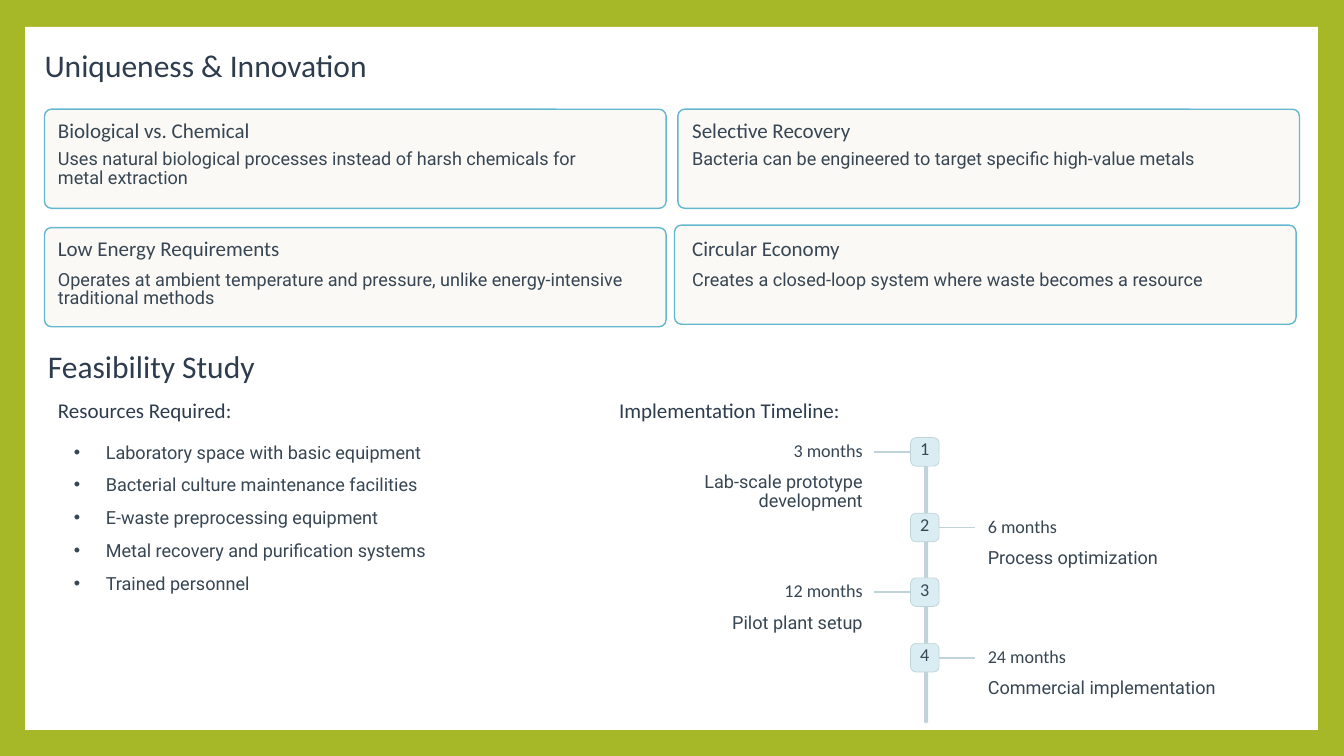
from lxml import etree
from pptx import Presentation
from pptx.dml.color import RGBColor
from pptx.enum.shapes import MSO_CONNECTOR, MSO_SHAPE
from pptx.enum.text import MSO_ANCHOR, MSO_AUTO_SIZE, PP_ALIGN
from pptx.oxml.ns import qn
from pptx.util import Inches, Pt

LEFT, CENTER, RIGHT = PP_ALIGN.LEFT, PP_ALIGN.CENTER, PP_ALIGN.RIGHT
RECTANGLE, ROUNDED = MSO_SHAPE.RECTANGLE, MSO_SHAPE.ROUNDED_RECTANGLE

GREEN = RGBColor(0xA6, 0xB7, 0x27)
WHITE = RGBColor(0xFF, 0xFF, 0xFF)
NAVY = RGBColor(0x2E, 0x3C, 0x4E)
SLATE = RGBColor(0x38, 0x46, 0x53)
CREAM = RGBColor(0xFA, 0xF9, 0xF5)
TEAL = RGBColor(0x64, 0xB8, 0xCE)
PALE_BLUE = RGBColor(0xD9, 0xED, 0xF2)
GREY_BLUE = RGBColor(0xBF, 0xD3, 0xD8)

presentation = Presentation()
presentation.slide_width, presentation.slide_height = Inches(16), Inches(9)
slide = presentation.slides.add_slide(presentation.slide_layouts[5])
slide.background.fill.solid()
slide.background.fill.fore_color.rgb = GREEN


def write(shape, lines, size, font, color, spacing=None, align=LEFT):
    frame = shape.text_frame
    frame.word_wrap = True
    frame.auto_size = MSO_AUTO_SIZE.NONE
    frame.vertical_anchor = MSO_ANCHOR.TOP
    frame.margin_left = frame.margin_right = 0
    frame.margin_top = frame.margin_bottom = 0
    for index, line in enumerate(lines):
        paragraph = frame.add_paragraph() if index else frame.paragraphs[0]
        paragraph.alignment = align
        if spacing:
            paragraph.line_spacing = Pt(spacing)
        run = paragraph.add_run()
        run.text = line
        run.font.size = Pt(size)
        run.font.name = font
        run.font.color.rgb = color
    return frame


def add_block(kind, left, top, width, height, fill, line=None, line_width=0, radius=0):
    shape = slide.shapes.add_shape(kind, Inches(left), Inches(top), Inches(width), Inches(height))
    shape.shadow.inherit = False
    shape.fill.solid()
    shape.fill.fore_color.rgb = fill
    if line:
        shape.line.color.rgb = line
        shape.line.width = Pt(line_width)
    else:
        shape.line.fill.background()
    if radius:
        shape.adjustments[0] = radius
    return shape


# White panel, placed behind the title
panel = add_block(RECTANGLE, 0.3, 0.32, 15.39, 8.37, WHITE)
slide.shapes._spTree.insert(2, panel._element)

# Title
title = slide.shapes.title
title.left, title.top, title.width, title.height = Inches(0.53), Inches(0.53), Inches(4.19), Inches(0.47)
write(title, ["Uniqueness & Innovation"], 27, "Calibri", NAVY, 33.5)

# Four cards: card left, card top, text left, heading top, body top, heading, body lines
cards = [
    (0.53, 1.3, 0.69, 1.47, 1.79, "Biological vs. Chemical",
     ["Uses natural biological processes instead of harsh chemicals for", "metal extraction"]),
    (8.07, 1.3, 8.24, 1.47, 1.79, "Selective Recovery",
     ["Bacteria can be engineered to target specific high-value metals"]),
    (0.53, 2.71, 0.69, 2.88, 3.23, "Low Energy Requirements",
     ["Operates at ambient temperature and pressure, unlike energy-intensive", "traditional methods"]),
    (8.03, 2.68, 8.24, 2.88, 3.23, "Circular Economy",
     ["Creates a closed-loop system where waste becomes a resource"]),
]
for left, top, text_left, heading_top, body_top, heading, body in cards:
    add_block(ROUNDED, left, top, 7.4, 1.18, CREAM, TEAL, 1.2, 0.07)
    heading_box = slide.shapes.add_textbox(Inches(text_left), Inches(heading_top), Inches(7.07), Inches(0.23))
    write(heading_box, [heading], 18, "Calibri", SLATE, 16.5)
    body_box = slide.shapes.add_textbox(Inches(text_left), Inches(body_top), Inches(7.07), Inches(0.54))
    write(body_box, body, 15.5, "Roboto", SLATE, 16)

# Feasibility headings
headings = [
    (0.57, 4.2, 0.38, "Feasibility Study", 27, 27),
    (0.69, 4.8, 0.23, "Resources Required:", 18, 16.5),
    (7.37, 4.8, 0.23, "Implementation Timeline:", 18, 16.5),
]
for left, top, height, text, size, spacing in headings:
    heading_box = slide.shapes.add_textbox(Inches(left), Inches(top), Inches(3), Inches(height))
    write(heading_box, [text], size, "Calibri", NAVY, spacing)

# Resource list
resources = [
    "Laboratory space with basic equipment",
    "Bacterial culture maintenance facilities",
    "E-waste preprocessing equipment",
    "Metal recovery and purification systems",
    "Trained personnel",
]
resource_box = slide.shapes.add_textbox(Inches(0.88), Inches(5.25), Inches(6), Inches(1.8))
resource_frame = write(resource_box, resources, 15.5, "Roboto", SLATE)
for index, paragraph in enumerate(resource_frame.paragraphs):
    properties = paragraph._p.get_or_add_pPr()
    properties.set("marL", str(Inches(0.38)))
    properties.set("indent", str(-Inches(0.38)))
    etree.SubElement(properties, qn("a:buFont")).set("typeface", "Arial")
    etree.SubElement(properties, qn("a:buChar")).set("char", "•")
    if index:
        paragraph.space_before = Pt(9.6)

# Timeline: spine, then steps alternating left and right
add_block(ROUNDED, 11, 5.21, 0.05, 3.4, GREY_BLUE, radius=0.5)
steps = [
    (5.21, "3 months", "Lab-scale prototype development"),
    (6.11, "6 months", "Process optimization"),
    (6.88, "12 months", "Pilot plant setup"),
    (7.66, "24 months", "Commercial implementation"),
]
for number, (top, period, activity) in enumerate(steps, 1):
    on_left = number % 2 == 1
    marker = add_block(ROUNDED, 10.84, top, 0.34, 0.34, PALE_BLUE, GREY_BLUE, 0.6, 0.19)
    write(marker, [str(number)], 15.5, "Calibri", SLATE, 16, CENTER).margin_top = Inches(0.02)

    branch_end, side = (10.41, 1) if on_left else (11.61, 3)
    middle = Inches(top + 0.17)
    branch = slide.shapes.add_connector(
        MSO_CONNECTOR.STRAIGHT, Inches(11), middle, Inches(branch_end), middle)
    branch.begin_connect(marker, side)
    branch.line.color.rgb = GREY_BLUE
    branch.line.width = Pt(1.4)
    etree.SubElement(branch._element.spPr, qn("a:effectLst"))

    text_left, align = (7.37, RIGHT) if on_left else (11.76, LEFT)
    for text, offset, font, spacing in ((period, 0.05, "Calibri", 16.5), (activity, 0.43, "Roboto", 16)):
        label = slide.shapes.add_textbox(Inches(text_left), Inches(top + offset), Inches(2.9), Inches(0.23))
        write(label, [text], 15.5, font, SLATE, spacing, align)

presentation.save("out.pptx")
